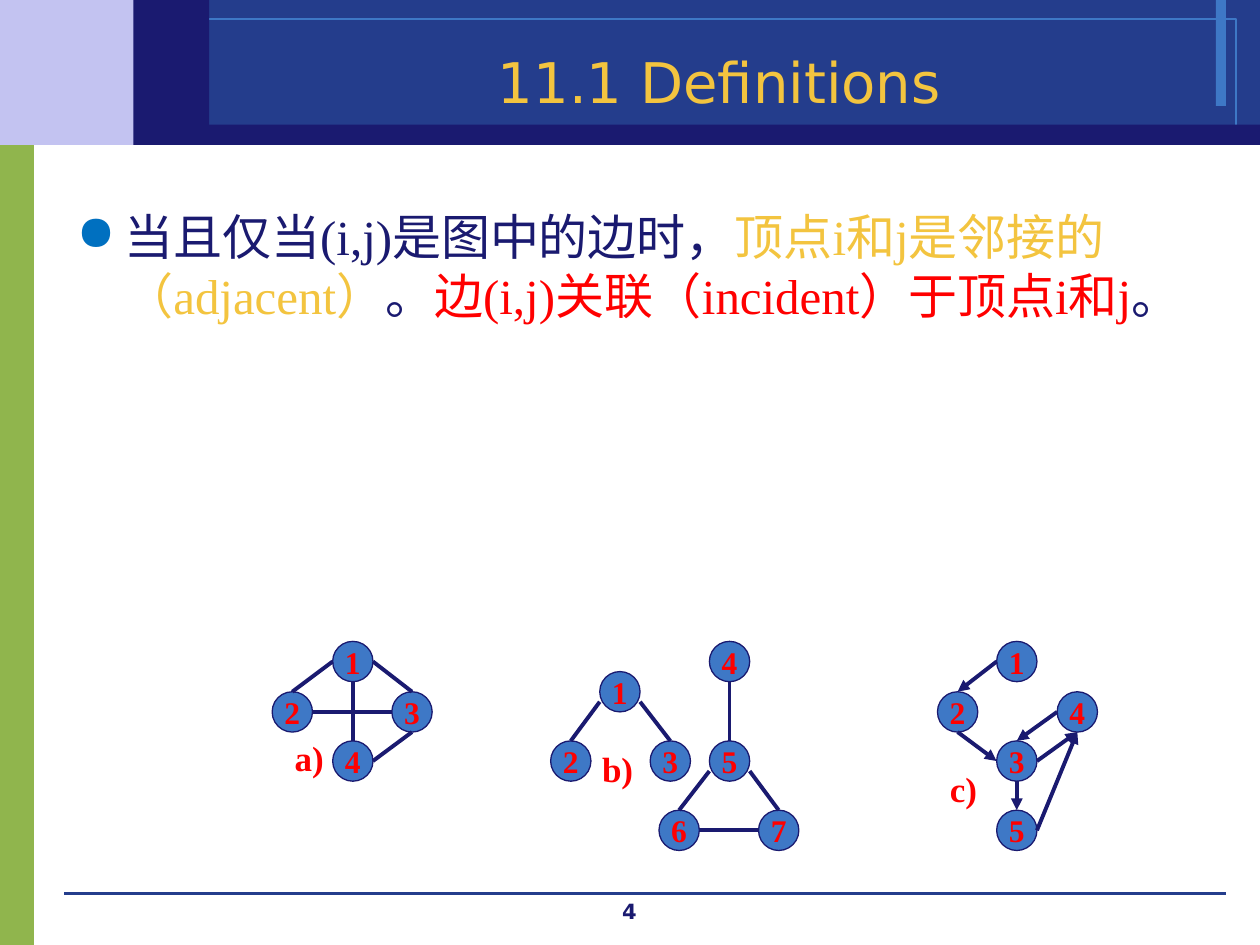
from dataclasses import dataclass

from pptx import Presentation
from pptx import util as u
from pptx.dml.color import RGBColor
from pptx.enum import shapes, text
from pptx.oxml.xmlchemy import OxmlElement


@dataclass(frozen=True)
class Theme:
    navy: str = "1A1A70"
    blue: str = "243D8C"
    sky: str = "3E78C6"
    lilac: str = "C3C3F1"
    green: str = "90B54D"
    gold: str = "F3C43F"
    red: str = "FF0000"
    bullet: str = "0070C0"
    heading_font: str = "DejaVu Sans"
    body_font: str = "Times New Roman"
    title_size: int = 32
    body_size: int = 28
    label_size: int = 20
    node_size: int = 18
    footer_size: int = 12
    edge_width: float = 2.25
    node_outline: float = 0.75


THEME = Theme()
NODE = 0.32  # node diameter

# Points on a node where edges attach, as fractions of its diameter
ANCHORS = {
    "left": (0, 0.5), "right": (1, 0.5), "top": (0.5, 0), "bottom": (0.5, 1),
    "low left": (0, 0.75), "low right": (1, 0.75),
}

# Each graph: label, label position, node positions, edges, directed or not
GRAPHS = [
    ("a)", (2.24, 5.8),
     {"1": (2.64, 5.09), "2": (2.16, 5.49), "3": (3.11, 5.49), "4": (2.64, 5.88)},
     [("1", "bottom", "4", "top"), ("2", "right", "3", "left"),
      ("1", "left", "2", "top"), ("3", "bottom", "4", "right"),
      ("3", "top", "1", "right")],
     False),
    ("b)", (4.68, 5.88),
     {"1": (4.76, 5.33), "2": (4.37, 5.88), "3": (5.16, 5.88), "4": (5.63, 5.09),
      "5": (5.63, 5.88), "6": (5.23, 6.43), "7": (6.02, 6.43)},
     [("1", "low left", "2", "top"), ("3", "top", "1", "low right"),
      ("4", "bottom", "5", "top"), ("6", "right", "7", "left"),
      ("5", "low left", "6", "top"), ("7", "top", "5", "low right")],
     False),
    ("c)", (7.44, 6.04),
     {"1": (7.91, 5.09), "2": (7.44, 5.49), "3": (7.91, 5.88), "4": (8.39, 5.49),
      "5": (7.91, 6.43)},
     [("3", "bottom", "5", "top"), ("2", "bottom", "3", "left"),
      ("1", "left", "2", "top"), ("3", "right", "4", "bottom"),
      ("5", "right", "4", "bottom"), ("4", "left", "3", "top")],
     True),
]


def rgb(color):
    return RGBColor.from_string(color)


def add_runs(paragraph, runs, *, font, size, bold=False):
    """Fill a paragraph with (wording, colour) pairs in one type style."""
    for wording, color in runs:
        run = paragraph.add_run()
        run.text = wording
        run.font.name = font
        run.font.size = u.Pt(size)
        run.font.bold = bold
        run.font.color.rgb = rgb(color)


def add_text(slide, box, runs, *, align=text.PP_ALIGN.LEFT,
             anchor=text.MSO_ANCHOR.TOP, **style):
    frame = slide.shapes.add_textbox(*map(u.Inches, box)).text_frame
    frame.word_wrap = True
    frame.vertical_anchor = anchor
    paragraph = frame.paragraphs[0]
    paragraph.alignment = align
    add_runs(paragraph, runs, **style)
    return paragraph


def add_bullet(paragraph, character, color, indent):
    properties = paragraph._p.get_or_add_pPr()
    properties.set("marL", str(u.Inches(indent)))
    properties.set("indent", str(-u.Inches(indent)))
    bullet_color = OxmlElement("a:buClr")
    value = OxmlElement("a:srgbClr")
    value.set("val", color)
    bullet_color.append(value)
    bullet = OxmlElement("a:buChar")
    bullet.set("char", character)
    properties.extend([bullet_color, bullet])


def add_block(slide, kind, box, *, fill=None, line=None, width=0):
    shape = slide.shapes.add_shape(kind, *map(u.Inches, box))
    shape.shadow.inherit = False
    if fill:
        shape.fill.solid()
        shape.fill.fore_color.rgb = rgb(fill)
    else:
        shape.fill.background()
    if line:
        shape.line.color.rgb = rgb(line)
        shape.line.width = u.Pt(width)
    else:
        shape.line.fill.background()
    return shape


def add_line(slide, start, end, *, color, width, arrow=False):
    connector = slide.shapes.add_connector(
        shapes.MSO_CONNECTOR.STRAIGHT, *map(u.Inches, (*start, *end)))
    connector.line.color.rgb = rgb(color)
    connector.line.width = u.Pt(width)
    if arrow:
        tail = OxmlElement("a:tailEnd")
        tail.set("type", "triangle")
        connector.line._get_or_add_ln().append(tail)
    connector._element.spPr.append(OxmlElement("a:effectLst"))


def add_node(slide, name, position):
    shape = add_block(slide, shapes.MSO_SHAPE.OVAL, (*position, NODE, NODE),
                      fill=THEME.sky, line=THEME.navy, width=THEME.node_outline)
    frame = shape.text_frame
    frame.word_wrap = False
    frame.vertical_anchor = text.MSO_ANCHOR.MIDDLE
    paragraph = frame.paragraphs[0]
    paragraph.alignment = text.PP_ALIGN.CENTER
    add_runs(paragraph, [(name, THEME.red)], font=THEME.body_font,
             size=THEME.node_size, bold=True)


def anchor_point(position, side):
    return [start + NODE * part for start, part in zip(position, ANCHORS[side])]


def add_graph(slide, label, label_position, nodes, edges, directed):
    for name, position in nodes.items():
        add_node(slide, name, position)
    for source, source_side, target, target_side in edges:
        add_line(slide, anchor_point(nodes[source], source_side),
                 anchor_point(nodes[target], target_side),
                 color=THEME.navy, width=THEME.edge_width, arrow=directed)
    add_text(slide, (*label_position, 0.47, 0.43), [(label, THEME.red)],
             font=THEME.body_font, size=THEME.label_size, bold=True)


def add_frame(slide):
    rectangle = shapes.MSO_SHAPE.RECTANGLE
    add_block(slide, rectangle, (0, 1.07, 0.27, 6.43), fill=THEME.green)
    add_block(slide, rectangle, (0, 0, 1.53, 1.15), fill=THEME.lilac)
    add_block(slide, rectangle, (1.53, 0, 8.47, 1.15), fill=THEME.blue)
    add_block(slide, rectangle, (9.65, 0, 0.08, 0.84), fill=THEME.sky)
    add_block(slide, rectangle, (1.19, 0.15, 8.62, 0.85), line=THEME.sky)
    add_line(slide, (0.51, 7.09), (9.73, 7.09), color=THEME.blue, width=0)
    add_block(slide, rectangle, (1.3, 0.99, 8.7, 0.16), fill=THEME.navy)
    add_block(slide, rectangle, (1.06, 0, 0.6, 1.15), fill=THEME.navy)


def main():
    presentation = Presentation()
    presentation.slide_width = u.Inches(10)
    presentation.slide_height = u.Inches(7.5)
    slide = presentation.slides.add_slide(presentation.slide_layouts[6])

    # Banner, side bar and footer
    add_frame(slide)
    centred = {"align": text.PP_ALIGN.CENTER, "anchor": text.MSO_ANCHOR.BOTTOM,
               "font": THEME.heading_font}
    add_text(slide, (3.83, 7.13, 2.33, 0.25), [("4", THEME.navy)],
             size=THEME.footer_size, bold=True, **centred)
    add_text(slide, (1.42, 0.13, 8.58, 0.83), [("11.1 Definitions", THEME.gold)],
             size=THEME.title_size, **centred)

    # Definition
    definition = add_text(slide, (0.51, 1.59, 9, 3.41), [
        ("当且仅当(i,j)是图中的边时，", THEME.navy),
        ("顶点i和j是邻接的（adjacent）", THEME.gold),
        ("。", THEME.navy),
        ("边(i,j)关联（incident）于顶点i和j", THEME.red),
        ("。", THEME.navy),
    ], font=THEME.body_font, size=THEME.body_size)
    add_bullet(definition, "●", THEME.bullet, 0.38)

    # Example graphs
    for graph in GRAPHS:
        add_graph(slide, *graph)

    presentation.save("out.pptx")


if __name__ == "__main__":
    main()
